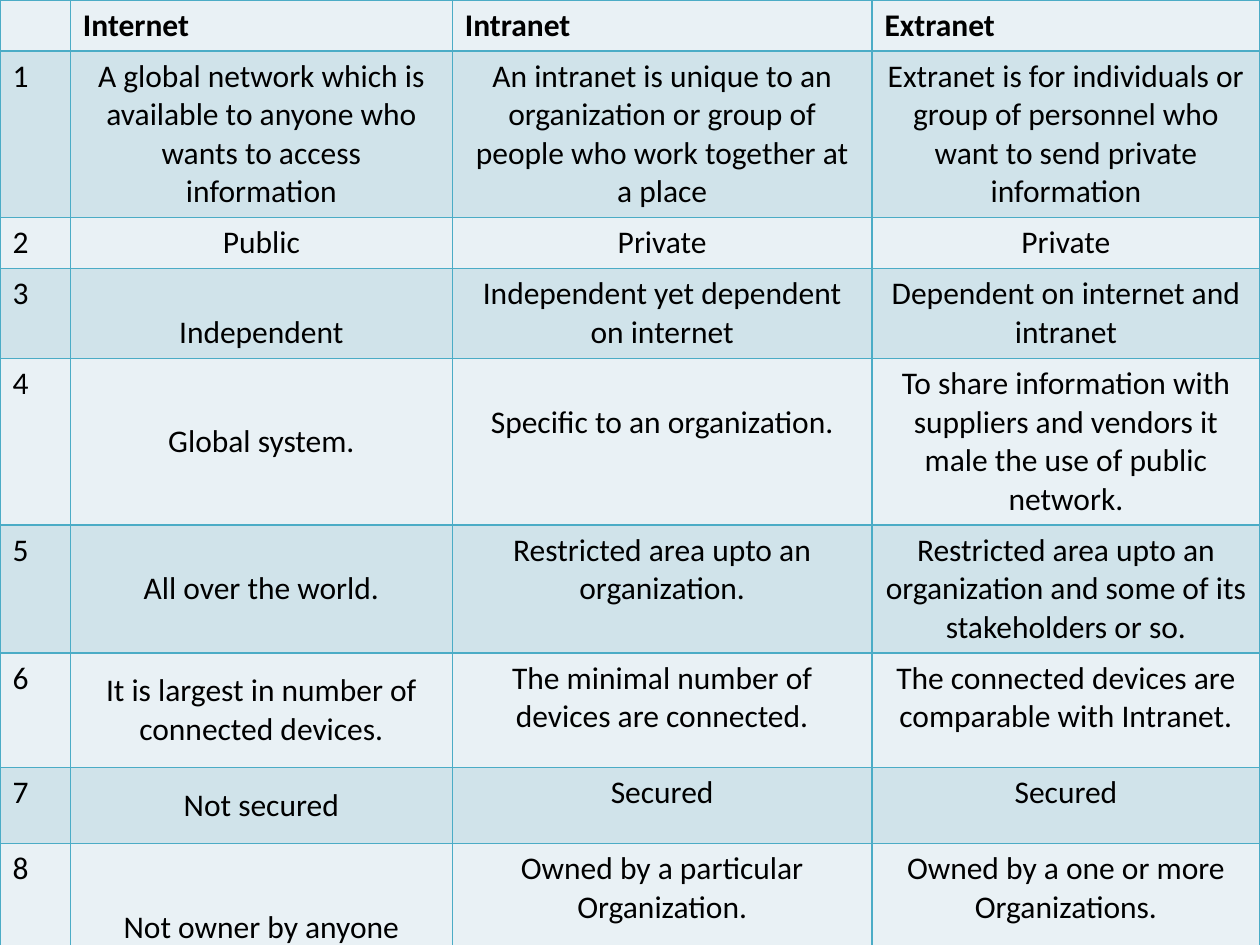
from lxml import etree
from pptx import Presentation
from pptx import util as u
from pptx.dml import color
from pptx.enum import text
from pptx.oxml import ns

BLACK = color.RGBColor(0x00, 0x00, 0x00)
PALE = color.RGBColor(0xE9, 0xF1, 0xF5)
BAND = color.RGBColor(0xD0, 0xE3, 0xEA)
BORDER = color.RGBColor(0x4B, 0xAC, 0xC6)

COLUMN_WIDTHS = [1.42, 7.70, 8.46, 7.82]
ROW_HEIGHTS = [1.03, 3.35, 1.03, 1.81, 3.35, 2.58, 2.30, 1.51, 3.38]
HEADINGS = ["", "Internet", "Intranet", "Extranet"]
COMPARISONS = [
    ["A global network which is available to anyone who wants to access information",
     "An intranet is unique to an organization or group of people who work together at a place",
     "Extranet is for individuals or group of personnel who want to send private information"],
    ["Public", "Private", "Private"],
    ["Independent", "Independent yet dependent on internet",
     "Dependent on internet and intranet"],
    ["Global system.", "Specific to an organization.",
     "To share information with suppliers and vendors it male the use of public network."],
    ["All over the world.", "Restricted area upto an organization.",
     "Restricted area upto an organization and some of its stakeholders or so."],
    ["It is largest in number of connected devices.",
     "The minimal number of devices are connected.",
     "The connected devices are comparable with Intranet."],
    ["Not secured", "Secured", "Secured"],
    ["Not owner by anyone", "Owned by a particular Organization.",
     "Owned by a one or more Organizations."],
]
LOWERED_CELLS = {(3, 1), (4, 2)}
FIRST_MIDDLE_ROW = 4


def add_borders(cell):
    properties = cell._tc.get_or_add_tcPr()
    for side in ("lnL", "lnR", "lnT", "lnB"):
        line = etree.SubElement(properties, ns.qn(f"a:{side}"), w=str(u.Pt(1)))
        fill = etree.SubElement(line, ns.qn("a:solidFill"))
        etree.SubElement(fill, ns.qn("a:srgbClr"), val=str(BORDER))


def fill_cell(cell, row, column, wording):
    add_borders(cell)
    cell.fill.solid()
    cell.fill.fore_color.rgb = BAND if row % 2 else PALE
    if (row, column) in LOWERED_CELLS:
        cell.margin_top = u.Cm(0.9)
    elif column == 1 and row >= FIRST_MIDDLE_ROW:
        cell.vertical_anchor = text.MSO_ANCHOR.MIDDLE
        cell.margin_top = cell.margin_bottom = u.Cm(0.38)

    para = cell.text_frame.paragraphs[0]
    para.font.size = u.Pt(18)
    if row and column:
        para.alignment = text.PP_ALIGN.CENTER
    if wording:
        span = para.add_run()
        span.text = wording
        span.font.name = "Calibri"
        span.font.size = u.Pt(18)
        span.font.bold = row == 0
        span.font.color.rgb = BLACK


def add_comparison_table(page, left, top, width, height):
    rows = [HEADINGS] + [[str(number), *entries]
                         for number, entries in enumerate(COMPARISONS, 1)]
    table = page.shapes.add_table(len(rows), len(HEADINGS),
                                  left, top, width, height).table
    table.first_row = False
    table.horz_banding = False
    for column, share in zip(table.columns, COLUMN_WIDTHS):
        column.width = int(width * share / sum(COLUMN_WIDTHS))
    for row, share in zip(table.rows, ROW_HEIGHTS):
        row.height = int(height * share / sum(ROW_HEIGHTS))
    for row, entries in enumerate(rows):
        for column, wording in enumerate(entries):
            fill_cell(table.cell(row, column), row, column, wording)


def main():
    deck = Presentation()
    deck.slide_width, deck.slide_height = u.Cm(25.4), u.Cm(19.05)
    page = deck.slides.add_slide(deck.slide_layouts[6])
    add_comparison_table(page, 0, 0, deck.slide_width, u.Cm(sum(ROW_HEIGHTS)))
    deck.save("out.pptx")


if __name__ == "__main__":
    main()
